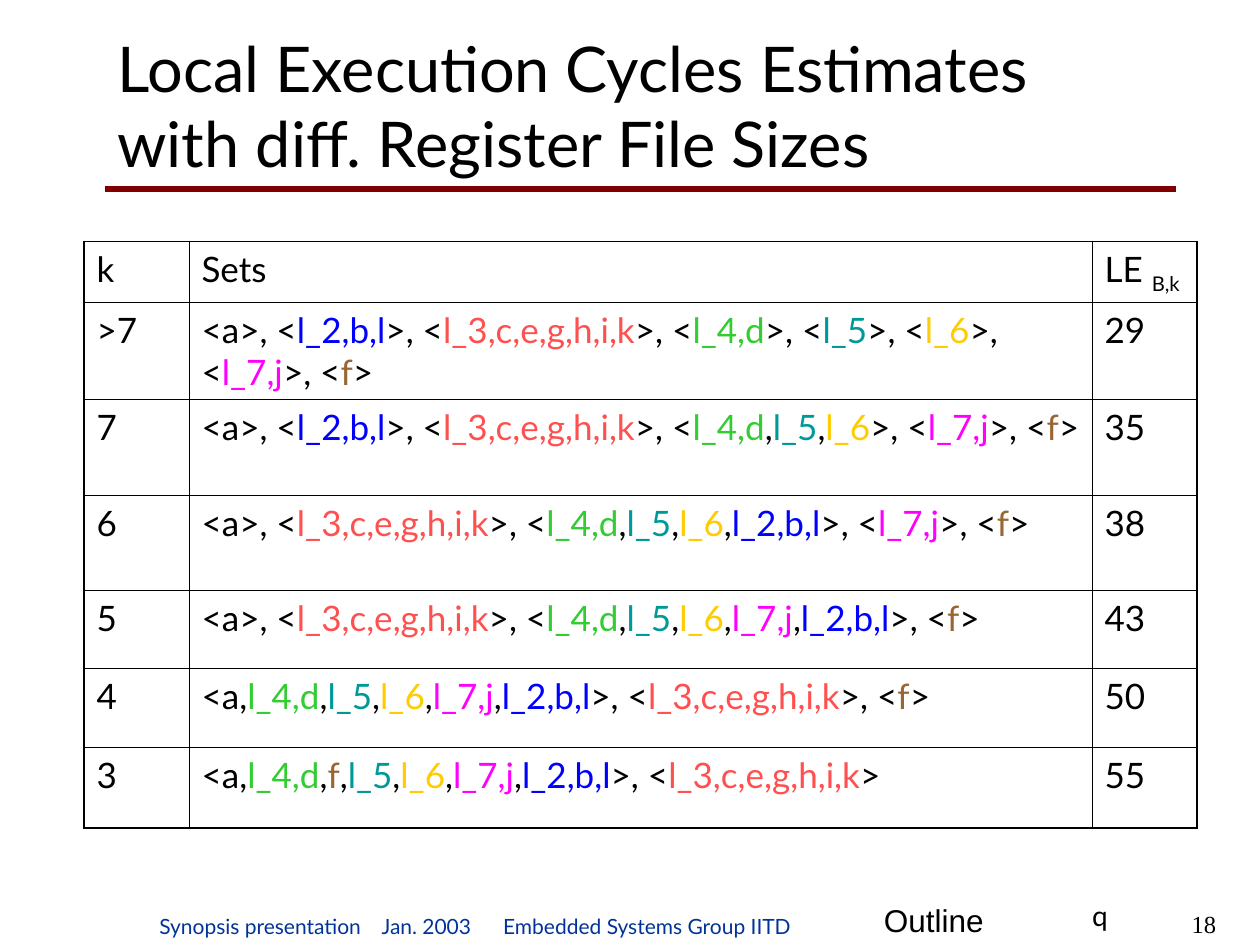
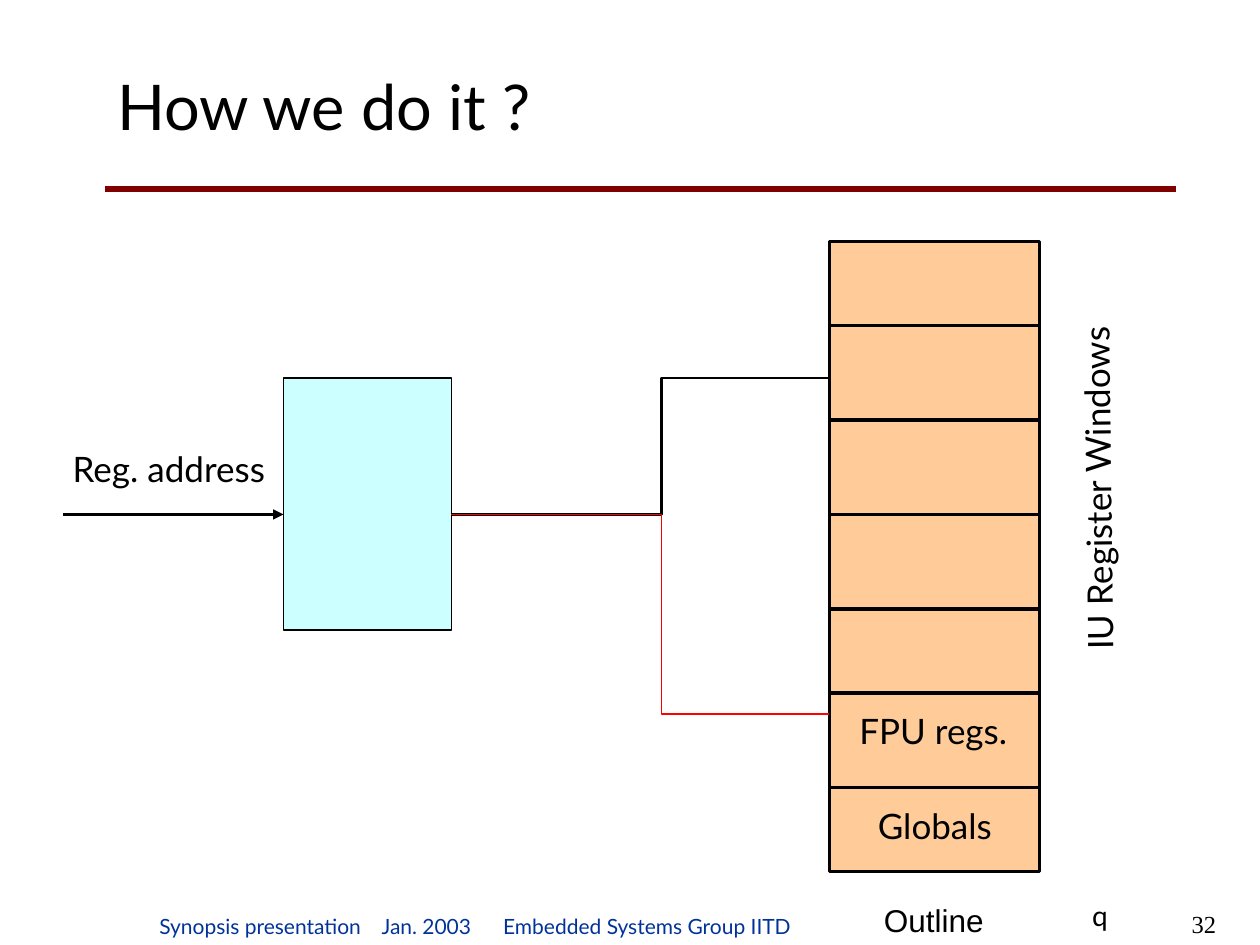
from dataclasses import dataclass
from itertools import accumulate
from typing import Any, NamedTuple

from lxml.etree import SubElement
from pptx import Presentation
from pptx.dml.color import RGBColor
from pptx.enum.shapes import MSO_CONNECTOR, MSO_SHAPE
from pptx.enum.text import MSO_ANCHOR, PP_ALIGN
from pptx.oxml import parse_xml
from pptx.oxml.ns import nsdecls, qn
from pptx.util import Pt


@dataclass(frozen=True)
class Theme:
    black: str = "000000"
    rule: str = "800000"
    footer: str = "003399"
    register: str = "FFCC99"
    decoder: str = "CCFFFF"
    highlight: str = "FF0000"
    body_font: str = "Lato"
    outline_font: str = "Arial"
    number_font: str = "Times New Roman"
    title_size: float = 36
    body_size: float = 20
    outline_size: float = 18
    marker_size: float = 16
    number_size: float = 14
    footer_size: float = 12
    thin_border: float = 0.45
    thick_border: float = 1.08


THEME = Theme()


class Box(NamedTuple):
    left: float
    top: float
    width: float
    height: float


class Point(NamedTuple):
    x: float
    y: float


@dataclass(frozen=True)
class Label:
    text: str
    box: Box
    size: float = THEME.body_size
    font: str = THEME.body_font
    color: str = THEME.black
    align: PP_ALIGN = PP_ALIGN.LEFT
    anchor: MSO_ANCHOR = MSO_ANCHOR.TOP
    wrap: bool = False
    rotation: float = 0
    tabs: tuple[float, ...] = ()


@dataclass(frozen=True)
class Line:
    start: Point
    end: Point
    width: float
    color: str = THEME.black
    arrow: bool = False


@dataclass(frozen=True)
class Block:
    box: Box
    fill: str
    width: float


@dataclass(frozen=True)
class Wire:
    points: tuple[Point, ...]
    color: str
    width: float


class Cluster(NamedTuple):
    text: str
    color: str


class Estimate(NamedTuple):
    registers: str
    sets: str
    cycles: str


CLUSTERS = {
    "a": Cluster("a", THEME.black),
    "2": Cluster("l_2,b,l", "0000FF"),
    "3": Cluster("l_3,c,e,g,h,i,k", "FF5050"),
    "4": Cluster("l_4,d", "33CC33"),
    "5": Cluster("l_5", "009999"),
    "6": Cluster("l_6", "FFCC00"),
    "7": Cluster("l_7,j", "FF00FF"),
    "f": Cluster("f", "996633"),
}
ESTIMATES = (
    Estimate(">7", "a 2 3 4 5 6 7 f", "29"),
    Estimate("7", "a 2 3 456 7 f", "35"),
    Estimate("6", "a 3 4562 7 f", "38"),
    Estimate("5", "a 3 45672 f", "43"),
    Estimate("4", "a45672 3 f", "50"),
    Estimate("3", "a4f5672 3", "55"),
)
TABLE_BOX = Box(48, 138, 636, 335.2)
COLUMN_WIDTHS = (60, 516, 60)
ROW_HEIGHTS = (34.8, 55.2, 55.2, 54, 45, 45, 46)

REGISTER_FILE = Box(474, 138, 120, 360)
WINDOW_HEIGHTS = (48, 54, 54, 54, 48, 54)
DECODER = Box(162, 216, 96, 144)
ADDRESS_Y = 294
BRANCH_X = 378

FOOTER = "\t".join(("Synopsis presentation", "Jan. 2003", "Embedded Systems Group IITD"))
SHARED_LABELS = (
    Label("Outline", Box(498, 511, 78, 29), THEME.outline_size, THEME.outline_font,
          anchor=MSO_ANCHOR.BOTTOM),
    Label("q", Box(617, 510, 30, 27), THEME.marker_size),
    Label(FOOTER, Box(84, 516, 402, 24), THEME.footer_size, color=THEME.footer,
          anchor=MSO_ANCHOR.BOTTOM, wrap=True, tabs=(127, 196.5)),
)
DIAGRAM_LABELS = (
    Label("Reg. address", Box(23, 252, 147, 31.5), align=PP_ALIGN.CENTER),
    Label("FPU regs.", Box(484, 402, 104, 31.5)),
    Label("Globals", Box(494.5, 456, 84, 31.5)),
    Label("IU Register Windows", Box(522.5, 258, 209.5, 31.5), rotation=269.3),
)


def apply_format(target: Any, values: dict[str, Any]) -> None:
    for name, value in values.items():
        setattr(target, name, value)


def style_font(font: Any, size: float, name: str, color: str) -> None:
    apply_format(font, {"size": Pt(size), "name": name})
    font.color.rgb = RGBColor.from_string(color)


def style_line(line: Any, color: str, width: float) -> None:
    line.color.rgb = RGBColor.from_string(color)
    line.width = Pt(width)


def add_label(slide: Any, label: Label) -> None:
    shape = slide.shapes.add_textbox(*map(Pt, label.box))
    shape.rotation = label.rotation
    apply_format(shape.text_frame, {"word_wrap": label.wrap, "vertical_anchor": label.anchor})
    paragraph = shape.text_frame.paragraphs[0]
    paragraph.alignment = label.align
    if label.tabs:
        tab_list = SubElement(paragraph._p.get_or_add_pPr(), qn("a:tabLst"))
        for position in label.tabs:
            SubElement(tab_list, qn("a:tab"), pos=str(Pt(position)), algn="l")
    run = paragraph.add_run()
    run.text = label.text
    style_font(run.font, label.size, label.font, label.color)


def add_line(slide: Any, line: Line) -> None:
    connector = slide.shapes.add_connector(
        MSO_CONNECTOR.STRAIGHT, *map(Pt, (*line.start, *line.end)))
    style_line(connector.line, line.color, line.width)
    if line.arrow:
        SubElement(connector.line._get_or_add_ln(), qn("a:tailEnd"), type="triangle")
    SubElement(connector._element.spPr, qn("a:effectLst"))


def add_block(slide: Any, block: Block) -> None:
    shape = slide.shapes.add_shape(MSO_SHAPE.RECTANGLE, *map(Pt, block.box))
    shape.shadow.inherit = False
    shape.fill.solid()
    shape.fill.fore_color.rgb = RGBColor.from_string(block.fill)
    style_line(shape.line, THEME.black, block.width)


def add_wire(slide: Any, wire: Wire) -> None:
    points = [(Pt(point.x), Pt(point.y)) for point in wire.points]
    builder = slide.shapes.build_freeform(*points[0])
    builder.add_line_segments(points[1:], close=False)
    shape = builder.convert_to_shape()
    shape.shadow.inherit = False
    shape.fill.background()
    style_line(shape.line, wire.color, wire.width)


def add_base_slide(presentation: Any, title: str, title_width: float, number: str) -> Any:
    slide = presentation.slides.add_slide(presentation.slide_layouts[6])
    add_line(slide, Line(Point(60, 108), Point(672, 108), 3, THEME.rule))
    labels = (
        Label(title, Box(60, 24, title_width, 72), THEME.title_size,
              anchor=MSO_ANCHOR.MIDDLE, wrap=True),
        *SHARED_LABELS,
        Label(number, Box(654, 516, 48, 24), THEME.number_size, THEME.number_font,
              align=PP_ALIGN.RIGHT, wrap=True),
    )
    for label in labels:
        add_label(slide, label)
    return slide


def set_pieces(sets: str) -> list[Cluster]:
    pieces: list[Cluster] = []
    opening = "<"
    for group in sets.split():
        for key in group:
            pieces += [Cluster(opening, THEME.black), CLUSTERS[key]]
            opening = ","
        opening = ">, <"
    return [*pieces, Cluster(">", THEME.black)]


def write_cell(cell: Any, pieces: list[Cluster]) -> None:
    cell.fill.background()
    paragraph = cell.text_frame.paragraphs[0]
    for piece in pieces:
        run = paragraph.add_run()
        run.text = piece.text
        style_font(run.font, THEME.body_size, THEME.body_font, piece.color)


def border_cell(cell: Any, outer_sides: dict[str, bool]) -> None:
    properties = cell._tc.get_or_add_tcPr()
    for index, (side, outer) in enumerate(outer_sides.items()):
        width = Pt(THEME.thick_border if outer else THEME.thin_border)
        properties.insert(index, parse_xml(
            f'<a:ln{side} {nsdecls("a")} w="{width}"><a:solidFill>'
            f'<a:srgbClr val="{THEME.black}"/></a:solidFill></a:ln{side}>'))


def add_estimate_table(slide: Any) -> None:
    rows, columns = len(ROW_HEIGHTS), len(COLUMN_WIDTHS)
    table = slide.shapes.add_table(rows, columns, *map(Pt, TABLE_BOX)).table
    apply_format(table, {"first_row": False, "horz_banding": False})
    for column, width in zip(table.columns, COLUMN_WIDTHS):
        column.width = Pt(width)
    for row, height in zip(table.rows, ROW_HEIGHTS):
        row.height = Pt(height)

    contents = [[[Cluster(text, THEME.black)] for text in ("k", "Sets", "LE ")]]
    contents[0][2].append(Cluster("B,k", THEME.black))
    for estimate in ESTIMATES:
        contents.append([
            [Cluster(estimate.registers, THEME.black)],
            set_pieces(estimate.sets),
            [Cluster(estimate.cycles, THEME.black)],
        ])
    for row_index, row_contents in enumerate(contents):
        for column_index, pieces in enumerate(row_contents):
            cell = table.cell(row_index, column_index)
            write_cell(cell, pieces)
            border_cell(cell, {
                "L": column_index == 0,
                "R": column_index == columns - 1,
                "T": row_index == 0,
                "B": row_index == rows - 1,
            })
    subscript = table.cell(0, 2).text_frame.paragraphs[0].runs[1]
    subscript.font._element.set("baseline", "-25000")


def add_register_diagram(slide: Any) -> None:
    left, top, width, _ = REGISTER_FILE
    add_block(slide, Block(REGISTER_FILE, THEME.register, 2))
    for offset in accumulate(WINDOW_HEIGHTS):
        add_line(slide, Line(Point(left, top + offset), Point(left + width, top + offset), 2))
    add_block(slide, Block(DECODER, THEME.decoder, 0.75))
    add_line(slide, Line(Point(36, ADDRESS_Y), Point(DECODER.left, ADDRESS_Y), 1.5, arrow=True))
    start = Point(DECODER.left + DECODER.width, ADDRESS_Y)
    for target_y, color, weight in ((216, THEME.black, 1.5), (408, THEME.highlight, 0.75)):
        points = (start, Point(BRANCH_X, ADDRESS_Y), Point(BRANCH_X, target_y),
                  Point(left, target_y))
        add_wire(slide, Wire(points, color, weight))
    for label in DIAGRAM_LABELS:
        add_label(slide, label)


def main() -> None:
    presentation = Presentation()
    apply_format(presentation, {"slide_width": Pt(720), "slide_height": Pt(540)})
    add_estimate_table(add_base_slide(
        presentation, "Local Execution Cycles Estimates with diff. Register File Sizes", 600, "18"))
    add_register_diagram(add_base_slide(presentation, "How we do it ?", 558, "32"))
    presentation.save("out.pptx")


if __name__ == "__main__":
    main()
